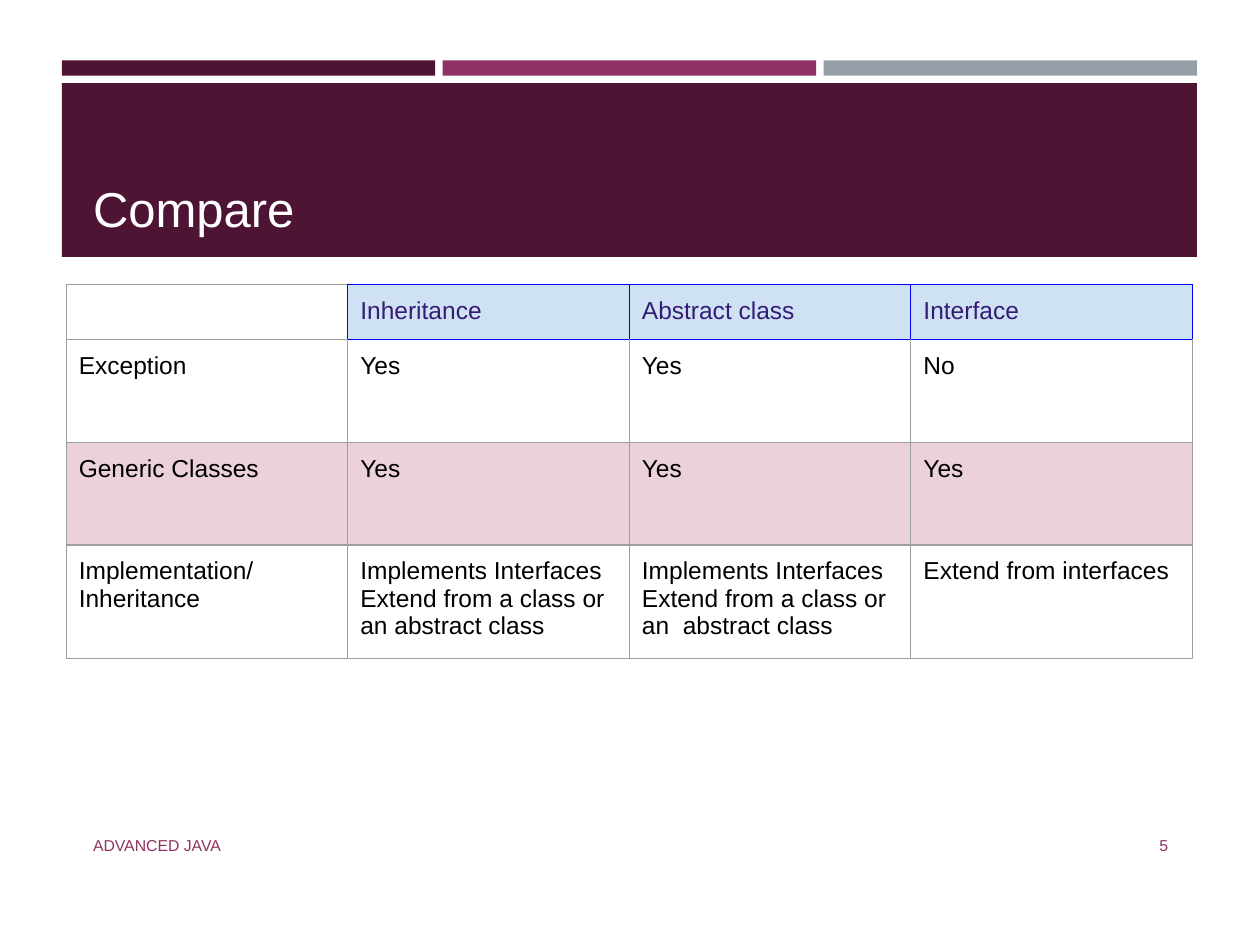
from collections import namedtuple

from lxml import etree
from pptx import Presentation
from pptx import util as u
from pptx.dml import color
from pptx.enum import shapes, text
from pptx.oxml import ns

COLORS = {
    "plum": "4D1434",
    "berry": "903163",
    "slate": "969FA7",
    "white": "FFFFFF",
    "black": "000000",
    "violet": "351C75",
    "sky": "CFE2F3",
    "rose": "EAD1DC",
    "grey": "9E9E9E",
    "blue": "0000FF",
}
WIDTH, HEIGHT = u.Inches(10), u.Inches(7.5)
FONT = "Arial"

Box = namedtuple("Box", "left top width height")

ROWS = [
    ["", "Inheritance", "Abstract class", "Interface"],
    ["Exception", "Yes", "Yes", "No"],
    ["Generic Classes", "Yes", "Yes", "Yes"],
    [
        "Implementation/Inheritance",
        "Implements Interfaces\nExtend from a class or an abstract class",
        "Implements Interfaces\nExtend from a class or an  abstract class",
        "Extend from interfaces",
    ],
]
ROW_SHARES = [0.15, 0.28, 0.28, 0.29]


def rgb(name):
    return color.RGBColor.from_string(COLORS[name])


def to_slide(box):
    return (
        u.Emu(int(WIDTH * box.left / 100)),
        u.Emu(int(HEIGHT * box.top / 100)),
        u.Emu(int(WIDTH * box.width / 100)),
        u.Emu(int(HEIGHT * box.height / 100)),
    )


def write(frame, words, size=14, fill="black", align=text.PP_ALIGN.LEFT):
    frame.word_wrap = True
    for index, line in enumerate(words.split("\n")):
        paragraph = frame.paragraphs[0] if index == 0 else frame.add_paragraph()
        paragraph.alignment = align
        run = paragraph.add_run()
        run.text = line
        run.font.name = FONT
        run.font.size = u.Pt(size)
        run.font.color.rgb = rgb(fill)


def add_bar(slide, box, fill):
    shape = slide.shapes.add_shape(shapes.MSO_SHAPE.RECTANGLE, *to_slide(box))
    shape.shadow.inherit = False
    shape.fill.solid()
    shape.fill.fore_color.rgb = rgb(fill)
    shape.line.fill.background()


def add_label(slide, box, words, anchor=text.MSO_ANCHOR.MIDDLE, **style):
    frame = slide.shapes.add_textbox(*to_slide(box)).text_frame
    frame.vertical_anchor = anchor
    write(frame, words, **style)


def add_header(slide, box):
    gap = 0.6
    bar_width = (box.width - 2 * gap) / 3
    for index, fill in enumerate(["plum", "berry", "slate"]):
        left = box.left + index * (bar_width + gap)
        add_bar(slide, Box(left, box.top, bar_width, 1.6), fill)
    band = Box(box.left, box.top + 2.4, box.width, box.height - 2.4)
    add_bar(slide, band, "plum")
    title = Box(band.left + 1.5, band.top + 1.2, band.width - 2.7, band.height - 2.67)
    add_label(slide, title, "Compare", anchor=text.MSO_ANCHOR.BOTTOM,
              size=28, fill="white")


def draw_borders(cell, edges):
    properties = cell._tc.get_or_add_tcPr()
    for side, name in zip("LRTB", edges):
        line = etree.SubElement(properties, ns.qn(f"a:ln{side}"), w=str(u.Pt(0.75)))
        solid = etree.SubElement(line, ns.qn("a:solidFill"))
        etree.SubElement(solid, ns.qn("a:srgbClr"), val=COLORS[name])


def cell_style(row, column):
    if row == 0 and column == 0:
        return None, "black", ["grey", "blue", "grey", "grey"]
    if row == 0:
        return "sky", "violet", ["blue"] * 4
    top = "blue" if row == 1 and column > 0 else "grey"
    return "rose" if row == 2 else None, "black", ["grey", "grey", top, "grey"]


def add_comparison(slide, box):
    left, top, width, height = to_slide(box)
    table = slide.shapes.add_table(
        len(ROWS), len(ROWS[0]), left, top, width, height
    ).table
    table.first_row = False
    table.horz_banding = False
    for row, (entries, share) in enumerate(zip(ROWS, ROW_SHARES)):
        table.rows[row].height = u.Emu(int(height * share))
        for column, words in enumerate(entries):
            cell = table.cell(row, column)
            background, ink, edges = cell_style(row, column)
            cell.margin_left = cell.margin_right = u.Inches(0.1)
            cell.margin_top = cell.margin_bottom = u.Inches(0.1)
            draw_borders(cell, edges)
            if background:
                cell.fill.solid()
                cell.fill.fore_color.rgb = rgb(background)
            else:
                cell.fill.background()
            if words:
                write(cell.text_frame, words, fill=ink)
            else:
                cell.text_frame.paragraphs[0].font.size = u.Pt(14)


def add_footer(slide, box):
    number_width = 8.4
    number_left = box.left + box.width - number_width
    add_label(slide, box._replace(width=53.3), "ADVANCED JAVA",
              size=9, fill="berry")
    add_label(slide, box._replace(left=number_left, width=number_width), "5",
              size=9, fill="berry", align=text.PP_ALIGN.RIGHT)


def main():
    presentation = Presentation()
    presentation.slide_width, presentation.slide_height = WIDTH, HEIGHT
    slide = presentation.slides.add_slide(presentation.slide_layouts[6])
    add_header(slide, Box(4.9, 6.4, 90.1, 20.8))
    add_comparison(slide, Box(5.25, 30.13, 89.4, 38.8))
    add_footer(slide, Box(6.4, 86.8, 87.3, 5.33))
    presentation.save("out.pptx")


if __name__ == "__main__":
    main()
